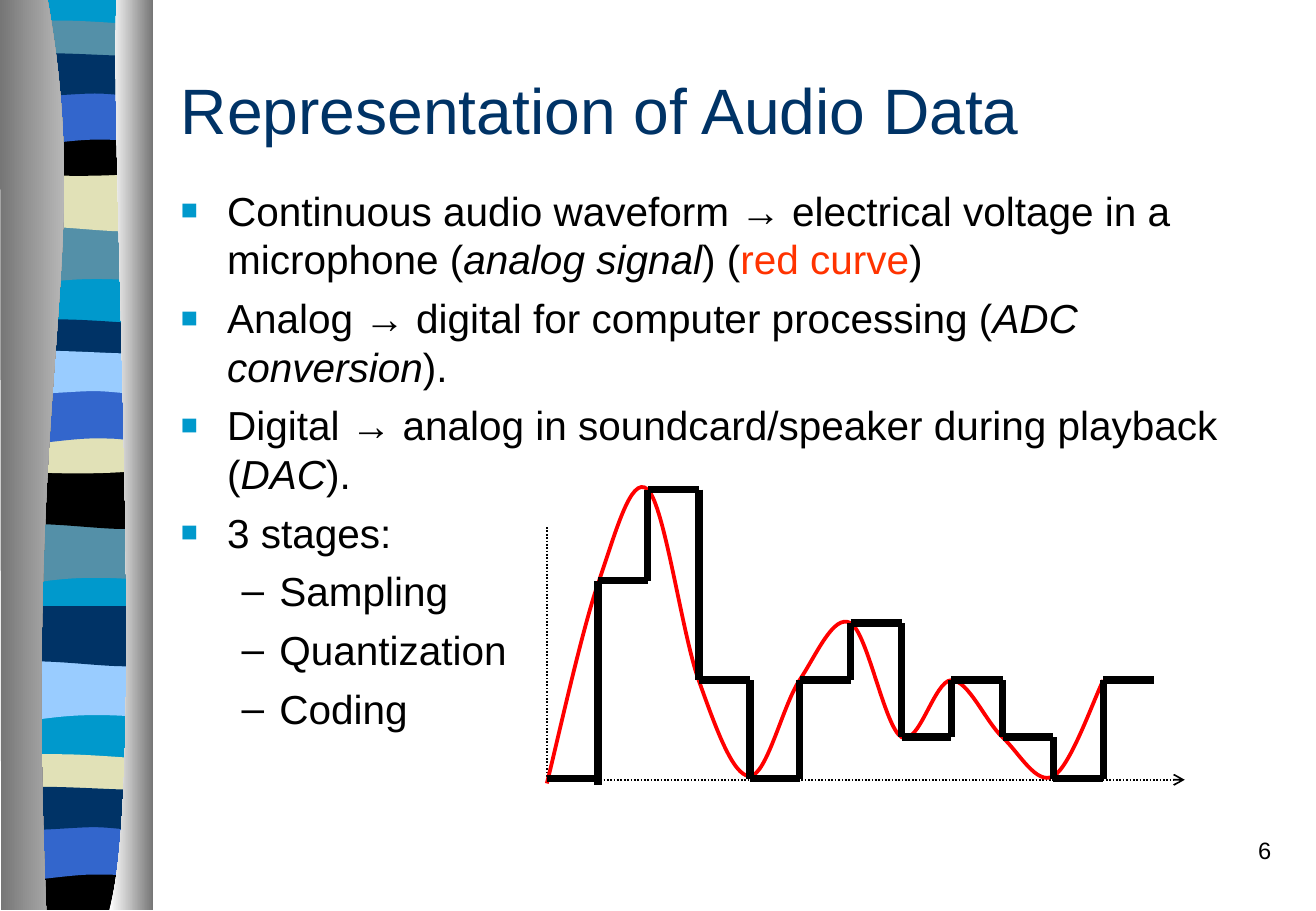
from lxml import etree
from pptx import Presentation
from pptx import util as u
from pptx.dml.color import RGBColor
from pptx.enum import dml, shapes, text
from pptx.oxml import ns

PX = 9144
FONT = "Arial"
BLACK = RGBColor(0x00, 0x00, 0x00)
WHITE = RGBColor(0xFF, 0xFF, 0xFF)
NAVY = RGBColor(0x00, 0x33, 0x66)
CYAN = RGBColor(0x00, 0x99, 0xCC)
TEAL = RGBColor(0x54, 0x90, 0xA8)
SAND = RGBColor(0xE1, 0xE1, 0xB7)
BLUE = RGBColor(0x33, 0x66, 0xCC)
SKY = RGBColor(0x99, 0xCC, 0xFF)
RED = RGBColor(0xFF, 0x00, 0x00)
ORANGE = RGBColor(0xFF, 0x33, 0x00)
DARK_GRAY = RGBColor(0x76, 0x76, 0x76)
LIGHT_GRAY = RGBColor(0xD8, 0xD8, 0xD8)

BAND_W = 117
FLAT_TOP = [(BAND_W, 0)]
FLAT_BOTTOM = [(-BAND_W, 0)]
BOWL = [(-19, 5, -97, 5, -117, 0)]
DIP_TOP = [(72, 5, 93, 0, 117, 0)]
PROFILES = {
    "swoosh": (47, FLAT_TOP, [(-81, -8, -97, 8, -117, 0)]),
    "ripple": (47, FLAT_TOP, [(-19, 8, -81, -6, -117, 0)]),
    "slim": (24, [(8, -5, 26, -4, 45, -4), (20, 0, 57, 3, 72, 4)], BOWL),
    "dip": (33, DIP_TOP, BOWL),
    "arch": (47, FLAT_TOP, [(-18, -6, -25, -6, -45, -6), (-19, 0, -54, 6, -72, 6)]),
    "wave": (31, [(17, -5, 80, 0, 99, 0), (20, 0, 15, 0, 18, 0)],
             [(-7, 5, -25, 0, -45, 0), (-19, 0, -60, 5, -72, 0)]),
    "last": (37, DIP_TOP, FLAT_BOTTOM),
}
BANDS = [
    ("swoosh", 6, 185, TEAL), ("ripple", 6, 141, SAND), ("slim", 6, 21, TEAL),
    ("dip", 6, 108, BLACK), ("arch", 6, 74, BLUE), ("wave", 6, 46, NAVY),
    ("swoosh", 5, 431, TEAL), ("ripple", 5, 386, BLACK), ("slim", 5, 267, NAVY),
    ("dip", 5, 353, SAND), ("arch", 5, 320, BLUE), ("wave", 5, 291, SKY),
    ("swoosh", 6, 544, SKY), ("ripple", 6, 499, NAVY), ("slim", 5, 625, SAND),
    ("last", 5, 712, BLACK), ("arch", 5, 679, BLUE), ("wave", 5, 650, NAVY),
]

LEVELS = [641, 478, 403, 560, 641, 560, 513, 607, 560, 607, 641, 560]
STEP_LEFT, STEP_SPAN, FIRST_FOOT = 450, 500, 646
SIGNAL = [
    (457, 618, 478, 522, 492, 481), (506, 441, 519, 390, 533, 403),
    (547, 416, 561, 521, 575, 560), (589, 599, 603, 639, 617, 639),
    (631, 639, 644, 581, 658, 560), (672, 539, 686, 505, 700, 513),
    (714, 521, 728, 599, 742, 607), (756, 615, 769, 560, 783, 560),
    (797, 560, 811, 594, 825, 607), (839, 620, 853, 647, 867, 639),
    (881, 631, 900, 576, 908, 560),
]

BODY = [
    (0, [("Continuous audio waveform → electrical voltage in a microphone (", {}),
         ("analog signal", {"italic": True}), (") (", {}),
         ("red curve", {"color": ORANGE}), (")", {})]),
    (0, [("Analog → digital for computer processing (", {}),
         ("ADC conversion", {"italic": True}), (").", {})]),
    (0, [("Digital → analog in soundcard/speaker during playback (", {}),
         ("DAC", {"italic": True}), (").", {})]),
    (0, [("3 stages:", {})]),
    (1, [("Sampling", {})]),
    (1, [("Quantization", {})]),
    (1, [("Coding", {})]),
]
BULLETS = [("■", CYAN, 70, 38, -38), ("–", BLACK, 100, 81, -31)]


def apply(obj, values):
    for name, value in values.items():
        setattr(obj, name, value)


def shift(start, segments):
    x, y = start
    moved = []
    for seg in segments:
        seg = tuple(v + (y if i % 2 else x) for i, v in enumerate(seg))
        moved.append(seg)
        x, y = seg[-2:]
    return moved


def add_outline(s, start, segments, close=True):
    points = [seg[i:i + 2] for seg in segments for i in range(0, len(seg), 2)]
    fb = s.shapes.build_freeform(*start, scale=PX)
    fb.add_line_segments(points, close=close)
    sp = fb.convert_to_shape()
    lines = iter(list(sp._element.iter(ns.qn("a:lnTo"))))
    for seg in segments:
        first = next(lines)
        if len(seg) == 6:
            first.tag = ns.qn("a:cubicBezTo")
            for ln in (next(lines), next(lines)):
                first.append(ln[0])
                ln.getparent().remove(ln)
    sp.shadow.inherit = False
    sp.line.fill.background()
    return sp


def add_band(s, profile, x, y, color):
    height, top, bottom = PROFILES[profile]
    right = (x + BAND_W, y + height)
    segments = shift((x, y), top) + [right] + shift(right, bottom)
    sp = add_outline(s, (x, y), segments)
    sp.fill.solid()
    sp.fill.fore_color.rgb = color


def add_column(s, start, segments, colors):
    sp = add_outline(s, start, segments)
    sp.fill.gradient()
    sp.fill.gradient_angle = 0
    for stop, color in zip(sp.fill.gradient_stops, colors):
        stop.color.rgb = color


def add_line(s, start, end, width, dash=None, arrow=False):
    c = s.shapes.add_connector(shapes.MSO_CONNECTOR.STRAIGHT,
                               *[v * PX for v in (*start, *end)])
    c.line.color.rgb = BLACK
    apply(c.line, {"width": u.Pt(width), "dash_style": dash})
    if arrow:
        etree.SubElement(c.line._get_or_add_ln(), ns.qn("a:tailEnd"), type="arrow")
    etree.SubElement(c._element.spPr, ns.qn("a:effectLst"))


def add_text(s, box, paragraphs, size, color=BLACK, **frame):
    tf = s.shapes.add_textbox(*[v * PX for v in box]).text_frame
    apply(tf, {"word_wrap": True, **frame})
    for i, (fmt, runs) in enumerate(paragraphs):
        p = tf.paragraphs[0] if i == 0 else tf.add_paragraph()
        apply(p, fmt)
        for words, style in runs:
            r = p.add_run()
            r.text = words
            apply(r.font, {"name": FONT, "size": u.Pt(size),
                           "italic": style.get("italic", False)})
            r.font.color.rgb = style.get("color", color)
    return tf


def add_bullet(p, char, color, percent, margin, indent):
    pPr = p._p.get_or_add_pPr()
    pPr.set("marL", str(margin * PX))
    pPr.set("indent", str(indent * PX))
    clr = etree.SubElement(pPr, ns.qn("a:buClr"))
    etree.SubElement(clr, ns.qn("a:srgbClr"), val=str(color))
    etree.SubElement(pPr, ns.qn("a:buSzPct"), val=str(percent * 1000))
    etree.SubElement(pPr, ns.qn("a:buFont"), typeface=FONT)
    etree.SubElement(pPr, ns.qn("a:buChar"), char=char)


def add_side_panel(s):
    sp = s.shapes.add_shape(shapes.MSO_SHAPE.RECTANGLE, 6 * PX, -PX, BAND_W * PX, 748 * PX)
    sp.shadow.inherit = False
    sp.fill.solid()
    sp.fill.fore_color.rgb = CYAN
    sp.line.fill.background()
    for band in BANDS:
        add_band(s, *band)
    add_column(s, (39, -1), [(78, 216, 19, 296, 38, 749), (1, 749), (0, -1)],
               (DARK_GRAY, LIGHT_GRAY))
    add_column(s, (96, -1), [(90, 125, 121, 646, 90, 749), (126, 749), (126, 0)],
               (WHITE, DARK_GRAY))


def add_signal_plot(s):
    dots = dml.MSO_LINE.ROUND_DOT
    add_line(s, (450, 434), (450, 642), 1, dots)
    add_line(s, (450, 642), (975, 642), 1, dots, arrow=True)
    sp = add_outline(s, (450, 645), SIGNAL, close=False)
    sp.fill.background()
    sp.line.color.rgb = RED
    sp.line.width = u.Pt(2.25)
    xs = [STEP_LEFT + round(STEP_SPAN * i / len(LEVELS)) for i in range(len(LEVELS) + 1)]
    feet = [FIRST_FOOT] + LEVELS[1:]
    for i, level in enumerate(LEVELS):
        if i:
            add_line(s, (xs[i], feet[i - 1]), (xs[i], level), 4.5)
        add_line(s, (xs[i], level), (xs[i + 1], level), 4.5)


def main():
    prs = Presentation()
    apply(prs, {"slide_width": 1083 * PX, "slide_height": 750 * PX})
    s = prs.slides.add_slide(prs.slide_layouts[6])
    add_side_panel(s)
    add_text(s, (139, 50, 921, 80), [({}, [("Representation of Audio Data", {})])],
             38, NAVY, vertical_anchor=text.MSO_ANCHOR.MIDDLE)
    tf = add_text(s, (139, 148, 921, 532),
                  [({"level": level, "space_before": u.Pt(6)}, runs)
                   for level, runs in BODY], 24)
    for p in tf.paragraphs:
        add_bullet(p, *BULLETS[p.level])
    add_signal_plot(s)
    add_text(s, (830, 683, 226, 50),
             [({"alignment": text.PP_ALIGN.RIGHT}, [("6", {})])], 14)
    prs.save("out.pptx")


if __name__ == "__main__":
    main()
